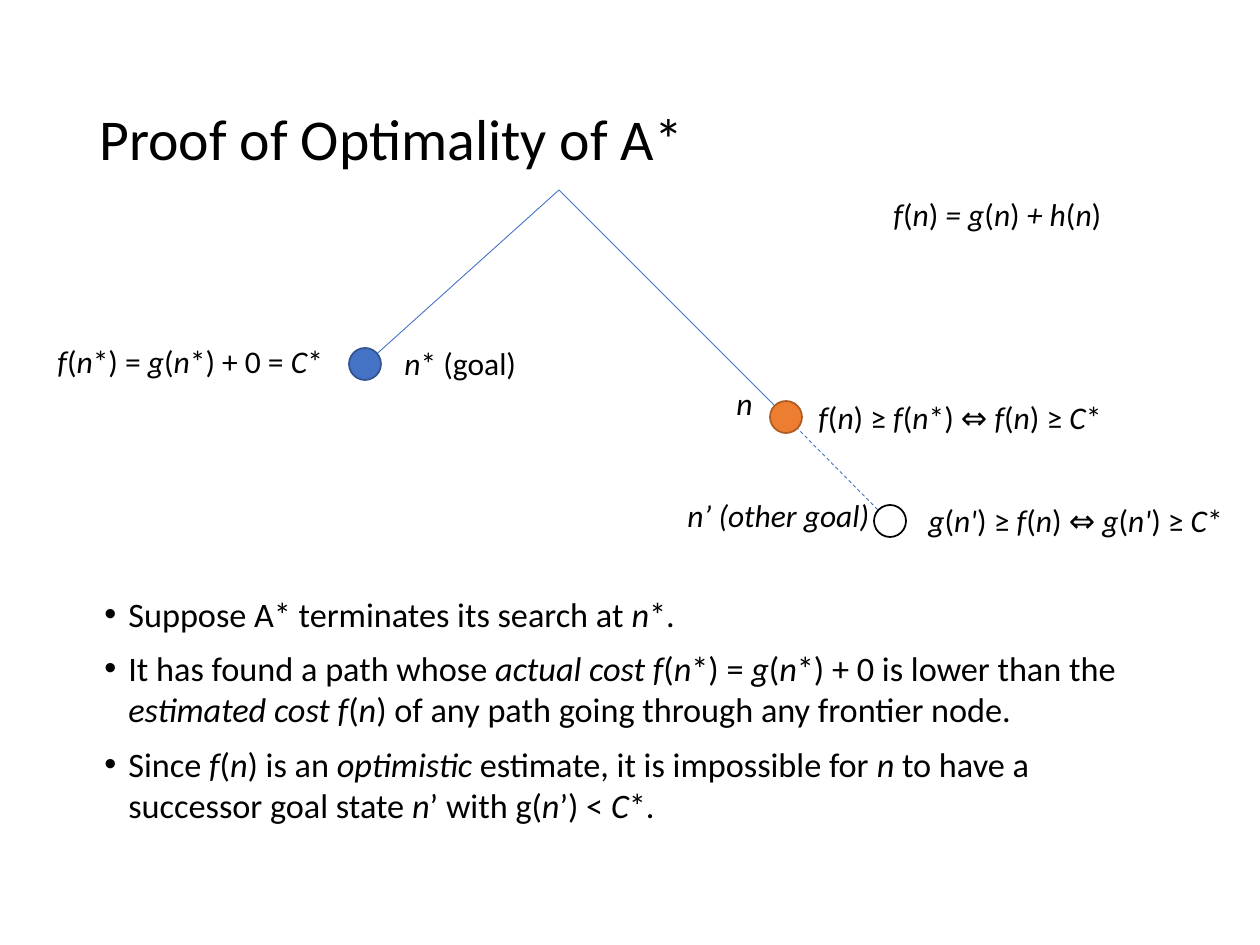
from dataclasses import dataclass
from lxml import etree
from pptx import Presentation, util as u
from pptx.dml.color import RGBColor
from pptx.enum import dml, shapes, text
from pptx.oxml.ns import qn


@dataclass(frozen=True)
class Theme:
    font: str = "Calibri"
    ink: str = "000000"
    edge: str = "4472C4"
    title_size: float = 33
    body_size: float = 19.6
    label_size: float = 18


THEME = Theme()
PX_PER_INCH = 126
NODE = 32
LABEL_H = 50
INDENT = 24

# Underscores switch italics on and off.
TITLE = ("Proof of Optimality of A*", (87, 50, 1086, 183))
BODY_BOX = (92, 587, 1086, 286)
BULLETS = [
    "Suppose A* terminates its search at _n_*.",
    "It has found a path whose _actual cost f_(_n_*) = _g_(_n_*) + 0 is lower than the "
    "_estimated cost f_(_n_) of any path going through any frontier node.",
    "Since _f_(_n_) is an _optimistic_ estimate, it is impossible for _n_ to have a "
    "successor goal state _n_’ with g(_n_’) < _C_*.",
]
ROOT = (559, 190)
GOAL, FRONTIER, OTHER = (365, 364), (786, 417), (890, 521)
EDGES = [
    (ROOT, (360, 369), False),
    (ROOT, (780, 411), False),
    ((796, 427), (885, 517), True),
]
NODES = [
    (FRONTIER, "ED7D31", "AF5C24"),
    (GOAL, "4472C4", "325491"),
    (OTHER, "FFFFFF", "000000"),
]
LABELS = [
    ("_n_", 724, 378, 43),
    ("_n_* (goal)", 392, 338, 139),
    ("_f_(_n_*) = _g_(_n_*) + 0 = _C_*", 45, 336, 295),
    ("_f_(_n_) ≥ _f_(_n_*) ⇔ _f_(_n_) ≥ _C_*", 806, 392, 330),
    ("_n’ (other goal)_", 675, 490, 209),
    ("_g_(_n'_) ≥ _f_(_n_) ⇔ _g_(_n'_) ≥ _C_*", 916, 495, 341),
    ("_f_(_n_)_ = g_(_n_)_ + h_(_n_)", 881, 189, 236),
]


def px(value):
    return u.Emu(round(value * u.Inches(1) / PX_PER_INCH))


def rgb(code):
    return RGBColor.from_string(code)


def add_runs(p, marked, size):
    for i, part in enumerate(marked.split("_")):
        if part:
            r = p.add_run()
            r.text = part
            r.font.name = THEME.font
            r.font.size = u.Pt(size)
            r.font.italic = i % 2 == 1
            r.font.color.rgb = rgb(THEME.ink)


def add_text(s, box, paragraphs, size, wrap=True):
    tf = s.shapes.add_textbox(*map(px, box)).text_frame
    tf.word_wrap = wrap
    for i, marked in enumerate(paragraphs):
        p = tf.add_paragraph() if i else tf.paragraphs[0]
        add_runs(p, marked, size)
    return tf


def add_bullet(p):
    p.space_before = u.Pt(7.5)
    pPr = p._p.get_or_add_pPr()
    pPr.set("marL", str(px(INDENT)))
    pPr.set("indent", str(-px(INDENT)))
    etree.SubElement(pPr, qn("a:buFont"), typeface="Arial")
    etree.SubElement(pPr, qn("a:buChar"), char="•")


def add_edge(s, start, end, dashed):
    line = s.shapes.add_connector(shapes.MSO_CONNECTOR.STRAIGHT, *map(px, start + end))
    line.line.color.rgb = rgb(THEME.edge)
    line.line.width = u.Pt(0.5)
    if dashed:
        line.line.dash_style = dml.MSO_LINE.DASH
    etree.SubElement(line._element.spPr, qn("a:effectLst"))


def add_node(s, center, fill, outline):
    x, y = (c - NODE / 2 for c in center)
    sp = s.shapes.add_shape(shapes.MSO_SHAPE.OVAL, *map(px, (x, y, NODE, NODE)))
    sp.shadow.inherit = False
    sp.fill.solid()
    sp.fill.fore_color.rgb = rgb(fill)
    sp.line.color.rgb = rgb(outline)
    sp.line.width = u.Pt(1)


def main():
    prs = Presentation()
    prs.slide_width, prs.slide_height = px(1260), px(945)
    s = prs.slides.add_slide(prs.slide_layouts[6])

    title, title_box = TITLE
    tf = add_text(s, title_box, [title], THEME.title_size)
    tf.vertical_anchor = text.MSO_ANCHOR.MIDDLE
    tf.paragraphs[0].line_spacing = 0.9

    for p in add_text(s, BODY_BOX, BULLETS, THEME.body_size).paragraphs:
        add_bullet(p)
    for edge in EDGES:
        add_edge(s, *edge)
    for node in NODES:
        add_node(s, *node)
    for label, x, y, w in LABELS:
        tf = add_text(s, (x, y, w, LABEL_H), [label], THEME.label_size, wrap=False)
        tf.auto_size = text.MSO_AUTO_SIZE.SHAPE_TO_FIT_TEXT

    prs.save("out.pptx")


if __name__ == "__main__":
    main()
